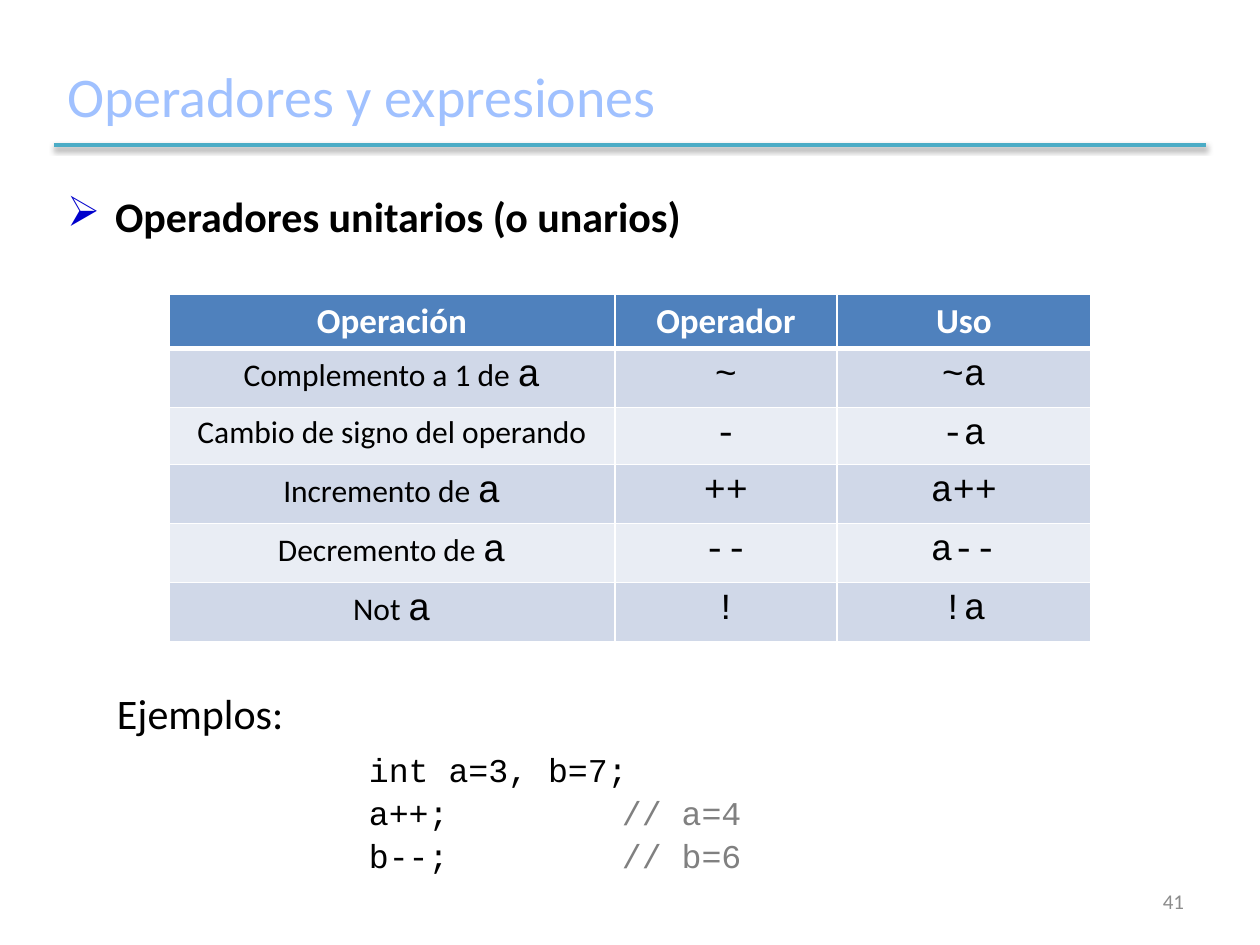
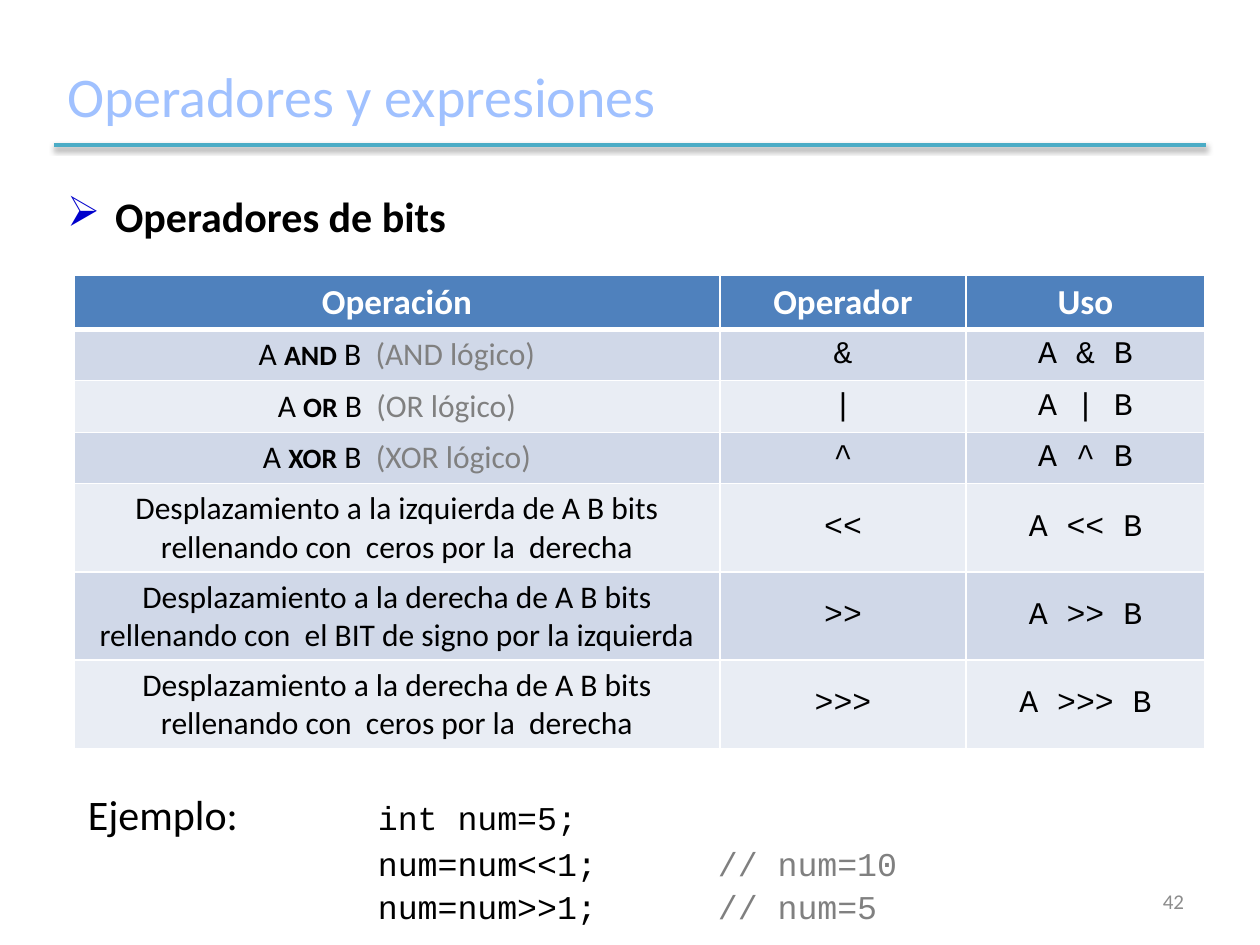
import dataclasses

import pptx
import pptx.dml.color
import pptx.enum.shapes
import pptx.enum.text
import pptx.oxml
import pptx.oxml.ns
import pptx.util

EMU_PER_PX = 914400 / 126


def px(length):
    return pptx.util.Emu(round(length * EMU_PER_PX))


def rgb(value):
    return pptx.dml.color.RGBColor.from_string(value)


def xml_element(markup):
    namespace = pptx.oxml.ns.nsdecls("a")
    tag, rest = markup[1:].split(" ", 1)
    return pptx.oxml.parse_xml(f"<{tag} {namespace} {rest}")


@dataclasses.dataclass(frozen=True)
class TextStyle:
    size: int
    font: str = "Calibri"
    colour: str = "000000"
    bold: bool = False


@dataclasses.dataclass(frozen=True)
class Theme:
    title = TextStyle(32, colour="A0C1FF")
    heading = TextStyle(24, bold=True)
    example = TextStyle(24)
    code = TextStyle(19, "Courier New")
    comment = TextStyle(19, "Courier New", "808080")
    page_number = TextStyle(12, colour="8C8C8C")
    header = TextStyle(20, colour="FFFFFF", bold=True)
    body = TextStyle(18)
    gate = TextStyle(16, bold=True)
    remark = TextStyle(18, colour="808080")
    operand = TextStyle(22, "Courier New")
    operator_large = TextStyle(21, "Courier New")
    operator = TextStyle(18, "Courier New")
    rule = "4BACC6"
    bullet = "0000CC"
    header_fill = "4F81BD"
    band_fills = ("E9EDF4", "D0D8E8")
    border = "FFFFFF"


class SlideWriter:
    def __init__(self, deck, theme):
        self.deck = deck
        self.theme = theme
        self.slide = None

    def start_slide(self, heading, number):
        self.slide = self.deck.slides.add_slide(self.deck.slide_layouts[6])
        theme = self.theme
        middle = pptx.enum.text.MSO_ANCHOR.MIDDLE
        title = self.text_box(67, 45, 1127, 100, middle)
        self.add_runs(title.paragraphs[0], [("Operadores y expresiones", theme.title)])
        self.rule(54, 145, 1206)
        self.bullet_heading(heading)
        page = self.text_box(903, 876, 281, 50, middle)
        page.paragraphs[0].alignment = pptx.enum.text.PP_ALIGN.RIGHT
        self.add_runs(page.paragraphs[0], [(str(number), theme.page_number)])

    def text_box(self, left, top, width, height, anchor=pptx.enum.text.MSO_ANCHOR.TOP):
        box = self.slide.shapes.add_textbox(px(left), px(top), px(width), px(height))
        frame = box.text_frame
        frame.word_wrap = True
        frame.vertical_anchor = anchor
        frame.margin_left = frame.margin_right = 0
        frame.margin_top = frame.margin_bottom = 0
        return frame

    def add_runs(self, para, runs):
        for text, style in runs:
            span = para.add_run()
            span.text = text
            span.font.size = pptx.util.Pt(style.size)
            span.font.name = style.font
            span.font.bold = style.bold
            span.font.color.rgb = rgb(style.colour)

    def rule(self, left, top, right):
        line = self.slide.shapes.add_connector(
            pptx.enum.shapes.MSO_CONNECTOR.STRAIGHT, px(left), px(top), px(right), px(top))
        line.line.color.rgb = rgb(self.theme.rule)
        line.line.width = pptx.util.Pt(2)
        line._element.spPr.append(xml_element(
            '<a:effectLst ><a:outerShdw blurRad="40000" dist="20000" dir="5400000" '
            'rotWithShape="0"><a:srgbClr val="000000"><a:alpha val="38000"/></a:srgbClr>'
            '</a:outerShdw></a:effectLst>'))

    def bullet_heading(self, text):
        para = self.text_box(67, 191, 1125, 52).paragraphs[0]
        properties = para._p.get_or_add_pPr()
        properties.set("marL", str(px(48)))
        properties.set("indent", str(-px(48)))
        properties.append(xml_element(
            f'<a:buClr ><a:srgbClr val="{self.theme.bullet}"/></a:buClr>'))
        properties.append(xml_element('<a:buChar char="➢"/>'))
        self.add_runs(para, [(text, self.theme.heading)])

    def table(self, left, top, widths, heights, rows, anchor):
        shape = self.slide.shapes.add_table(
            len(rows), len(widths), px(left), px(top), px(sum(widths)), px(sum(heights)))
        grid = shape.table
        for column, width in zip(grid.columns, widths):
            column.width = px(width)
        for row, height in zip(grid.rows, heights):
            row.height = px(height)
        for row_index, row in enumerate(rows):
            for column_index, runs in enumerate(row):
                cell = grid.cell(row_index, column_index)
                self.fill_cell(cell, row_index, runs, anchor)

    def fill_cell(self, cell, row_index, runs, anchor):
        theme = self.theme
        cell.vertical_anchor = anchor
        cell.fill.solid()
        fill = theme.band_fills[row_index % 2] if row_index else theme.header_fill
        cell.fill.fore_color.rgb = rgb(fill)
        widths = {"L": 1, "R": 1, "T": 3 if row_index == 1 else 1, "B": 1 if row_index else 3}
        properties = cell._tc.get_or_add_tcPr()
        for position, (side, width) in enumerate(widths.items()):
            properties.insert(position, xml_element(
                f'<a:ln{side} w="{pptx.util.Pt(width)}"><a:solidFill>'
                f'<a:srgbClr val="{theme.border}"/></a:solidFill></a:ln{side}>'))
        para = cell.text_frame.paragraphs[0]
        para.alignment = pptx.enum.text.PP_ALIGN.CENTER
        self.add_runs(para, runs)

    def example(self, left, top, height, tabs, lines, gaps):
        frame = self.text_box(left, top, 1060, height)
        stops = "".join(f'<a:tab pos="{px(tab)}" algn="l"/>' for tab in tabs)
        for index, runs in enumerate(lines):
            para = frame.paragraphs[0] if index == 0 else frame.add_paragraph()
            if index:
                para.space_before = pptx.util.Pt(gaps[index - 1])
            para._p.get_or_add_pPr().append(xml_element(f"<a:tabLst >{stops}</a:tabLst>"))
            self.add_runs(para, runs)


def table_rows(theme, descriptions, symbols, style):
    header = [[(text, theme.header)] for text in ("Operación", "Operador", "Uso")]
    return [header] + [
        [runs, [(symbol, style)], [(usage, style)]]
        for runs, (symbol, usage) in zip(descriptions, symbols)]


def code_line(theme, code, comment):
    return [(f"\t{code}\t", theme.code), (comment, theme.comment)]


def unary_slide(writer):
    theme = writer.theme
    writer.start_slide("Operadores unitarios (o unarios)", 41)
    operand = ("a", theme.operand)
    descriptions = [
        [("Complemento a 1 de ", theme.body), operand],
        [("Cambio de signo del operando", theme.body)],
        [("Incremento de ", theme.body), operand],
        [("Decremento de ", theme.body), operand],
        [("Not ", theme.body), operand],
    ]
    symbols = [("~", "~a"), ("-", "-a"), ("++", "a++"), ("--", "a--"), ("!", "!a")]
    writer.table(
        169, 294, (446, 222, 254), (53, 59, 57, 59, 59, 58),
        table_rows(theme, descriptions, symbols, theme.operator_large),
        pptx.enum.text.MSO_ANCHOR.TOP)
    writer.example(117, 688, 190, (252, 505), [
        [("Ejemplos:", theme.example)],
        [("\tint a=3, b=7;", theme.code)],
        code_line(theme, "a++;", "// a=4"),
        code_line(theme, "b--;", "// b=6"),
    ], (6, 2, 2))


def bitwise_slide(writer):
    theme = writer.theme
    writer.start_slide("Operadores de bits", 42)
    descriptions = [
        [("A ", theme.body), (gate, theme.gate), (" B  ", theme.body),
         (f"({gate} lógico)", theme.remark)]
        for gate in ("AND", "OR", "XOR")]
    shifts = (("izquierda", "ceros por la  derecha"),
              ("derecha", "el BIT de signo por la izquierda"),
              ("derecha", "ceros por la  derecha"))
    descriptions += [
        [(f"Desplazamiento a la {side} de A B bits rellenando con  {filler}", theme.body)]
        for side, filler in shifts]
    symbols = [(symbol, f"A {symbol} B") for symbol in ("&", "|", "^", "<<", ">>", ">>>")]
    writer.table(
        74, 275, (646, 246, 239), (53, 51, 52, 51, 88, 88, 88),
        table_rows(theme, descriptions, symbols, theme.operator),
        pptx.enum.text.MSO_ANCHOR.MIDDLE)
    writer.example(88, 789, 136, (290, 630), [
        [("Ejemplo:", theme.example), ("\tint num=5;", theme.code)],
        code_line(theme, "num=num<<1;", "// num=10"),
        code_line(theme, "num=num>>1;", "// num=5"),
    ], (2, 2))


def main():
    deck = pptx.Presentation()
    deck.slide_width = px(1260)
    deck.slide_height = px(945)
    writer = SlideWriter(deck, Theme())
    unary_slide(writer)
    bitwise_slide(writer)
    deck.save("out.pptx")


if __name__ == "__main__":
    main()
